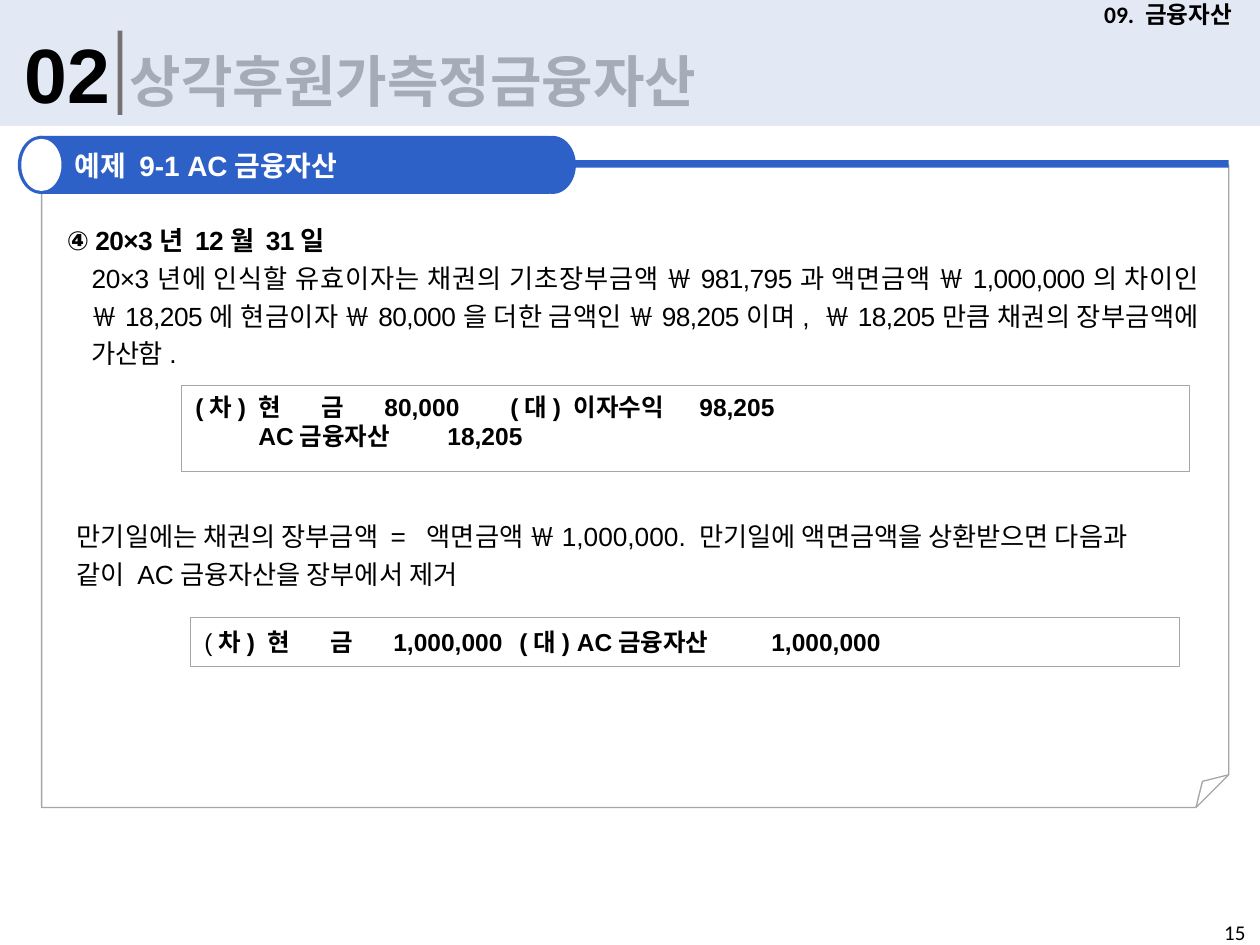
from pptx import Presentation
from pptx.util import Cm, Pt
from pptx.dml.color import RGBColor
from pptx.enum import shapes, text
from pptx.oxml.ns import qn
from lxml import etree

HUE = {
    "band": "DAE3F3", "bar": "767171", "blue": "2D61C8",
    "edge": "A6A6A6", "ink": "000000", "white": "FFFFFF",
}
FORM = shapes.MSO_SHAPE
ALIGN = text.PP_ALIGN
MID = text.MSO_ANCHOR.MIDDLE
TOP = text.MSO_ANCHOR.TOP


def rgb(name):
    return RGBColor.from_string(HUE[name])


def put(slide, form, box, fill=None, line=None):
    item = slide.shapes.add_shape(form, *map(Cm, box))
    item.shadow.inherit = False
    if fill:
        item.fill.solid()
        item.fill.fore_color.rgb = rgb(fill)
    else:
        item.fill.background()
    if line:
        item.line.color.rgb = rgb(line)
        item.line.width = Pt(0.75)
    else:
        item.line.fill.background()
    return item


def label(slide, box, wrap=True):
    frame = slide.shapes.add_textbox(*map(Cm, box)).text_frame
    frame.word_wrap = wrap
    return frame


def write(frame, words, font="Arial", size=14, bold=False, hue="ink",
          align=ALIGN.LEFT, lead=None, left=0, track=None, tabs=(),
          more=False):
    """Write one paragraph; words is a string or (string, bold, font) runs."""
    para = frame.add_paragraph() if more else frame.paragraphs[0]
    para.alignment = align
    if lead:
        para.line_spacing = lead
    props = para._p.get_or_add_pPr()
    props.set("marL", str(Cm(left)))
    props.set("indent", "0")
    if tabs:
        stops = etree.SubElement(props, qn("a:tabLst"))
        for pos, side in tabs:
            etree.SubElement(stops, qn("a:tab"), pos=str(Cm(pos)), algn=side)
    runs = [(words, bold, font)] if isinstance(words, str) else words
    for part, heavy, face in runs:
        run = para.add_run()
        run.text = part
        run.font.name = face
        run.font.size = Pt(size)
        run.font.bold = heavy
        run.font.color.rgb = rgb(hue)
        if track:
            run._r.get_or_add_rPr().set("spc", str(track))


def header(slide, box, number, title, chapter):
    x, y, w, h = box
    band = put(slide, FORM.RECTANGLE, box, "band")
    tint = band._element.spPr.find(".//" + qn("a:srgbClr"))
    etree.SubElement(tint, qn("a:alpha"), val="76000")
    write(label(slide, (x + 0.25, y + 0.41, 2.31, 2.13), False), number,
          size=44, bold=True)
    put(slide, FORM.RECTANGLE, (x + 2.37, y + 0.62, 0.1, 1.7), "bar")

    head = slide.shapes.title
    head.left, head.top, head.width, head.height = map(
        Cm, (x + 2.36, y + 0.81, 13.54, 1.63))
    frame = head.text_frame
    frame.auto_size = text.MSO_AUTO_SIZE.NONE
    frame.vertical_anchor = TOP
    frame.word_wrap = False
    write(frame, title, font="Calibri", size=32, bold=True)

    frame = label(slide, (x + w - 3.71, y, 3.71, 0.58), False)
    frame.vertical_anchor = MID
    write(frame, chapter, font="Calibri", size=13.5, bold=True,
          align=ALIGN.CENTER)


def panel(slide, box, runs):
    """Folded sheet with a blue rule and a rounded tag along its top."""
    x, y, w, h = box
    sheet = put(slide, FORM.FOLDED_CORNER, box, line="edge")
    geom = sheet._element.spPr.find(qn("a:prstGeom"))
    fold = geom.find(qn("a:avLst"))
    etree.SubElement(fold, qn("a:gd"), name="adj", fmla="val 5100")
    put(slide, FORM.RECTANGLE, (x, y - 0.1, w, 0.15), "blue")
    top = y - 0.59
    for left in (x - 0.48, x + 9.83):
        put(slide, FORM.OVAL, (left, top, 0.94, 1.17), "blue")
    tag = put(slide, FORM.RECTANGLE, (x - 0.05, top, 10.29, 1.17), "blue")
    frame = tag.text_frame
    frame.margin_left = Cm(0.72)
    frame.vertical_anchor = MID
    write(frame, runs, size=16, hue="white")
    put(slide, FORM.OVAL, (x - 0.41, top + 0.06, 0.81, 1.05), "white")


def entry(slide, box, rows, anchor):
    """Journal entry; each row is a list of runs and its tab stops."""
    frame = put(slide, FORM.RECTANGLE, box, "white", "edge").text_frame
    frame.word_wrap = True
    frame.vertical_anchor = anchor
    frame.margin_left = frame.margin_right = Cm(0.28)
    for i, (runs, tabs) in enumerate(rows):
        write(frame, runs, tabs=tabs, bold=True, more=i > 0)


def notes(slide, box):
    x, y, w, h = box
    frame = label(slide, (x, y, w, 3.25))
    form = dict(size=15, lead=1.2, align=ALIGN.JUSTIFY, track=-30)
    write(frame, "④ 20×3년 12월 31일", bold=True, left=0.74, **form)
    write(frame, "20×3년에 인식할 유효이자는 채권의 기초장부금액 ￦981,795과 "
          "액면금액 ￦1,000,000의 차이인 ￦18,205에 현금이자 ￦80,000을 더한 "
          "금액인 ￦98,205이며, ￦18,205만큼 채권의 장부금액에 가산함.",
          left=1.24, more=True, **form)

    entry(slide, (x + 3.3, y + 3.5, 20.32, 1.73), [
        ("(차) 현\t금\t80,000\t(대) 이자수익\t98,205",
         [(2.7, "l"), (7.85, "r"), (9.5, "l"), (16.55, "r")]),
        ("\tAC금융자산\t18,205", [(0.92, "l"), (7.85, "r")]),
    ], TOP)

    write(label(slide, (x + 0.94, y + 5.97, 22.5, 1.73)),
          "만기일에는 채권의 장부금액 =  액면금액 ￦1,000,000. 만기일에 "
          "액면금액을 상환받으면 다음과 같이 AC금융자산을 장부에서 제거",
          size=15, lead=1.2)

    entry(slide, (x + 3.48, y + 8.18, 19.94, 0.99), [
        ([("(", False, "Arial"),
          ("차) 현\t금\t1,000,000\t(대) AC금융자산\t1,000,000",
           True, "Arial")],
         [(2.56, "l"), (7.28, "r"), (9.25, "l"), (16.55, "r")]),
    ], MID)


def main():
    deck = Presentation()
    deck.slide_width, deck.slide_height = Cm(25.4), Cm(19.05)
    slide = deck.slides.add_slide(deck.slide_layouts[5])
    header(slide, (0, 0, 25.4, 2.54), "02", "상각후원가측정금융자산",
           "09. 금융자산")
    panel(slide, (0.84, 3.33, 23.93, 12.95),
          [("예제 ", True, "Calibri"), ("9-1 AC금융자산", True, "Arial")])
    notes(slide, (0.36, 4.27, 24.05, 9.17))
    write(label(slide, (24.43, 18.42, 0.97, 0.63), False), "15",
          font="Calibri", size=12)
    deck.save("out.pptx")


if __name__ == "__main__":
    main()
